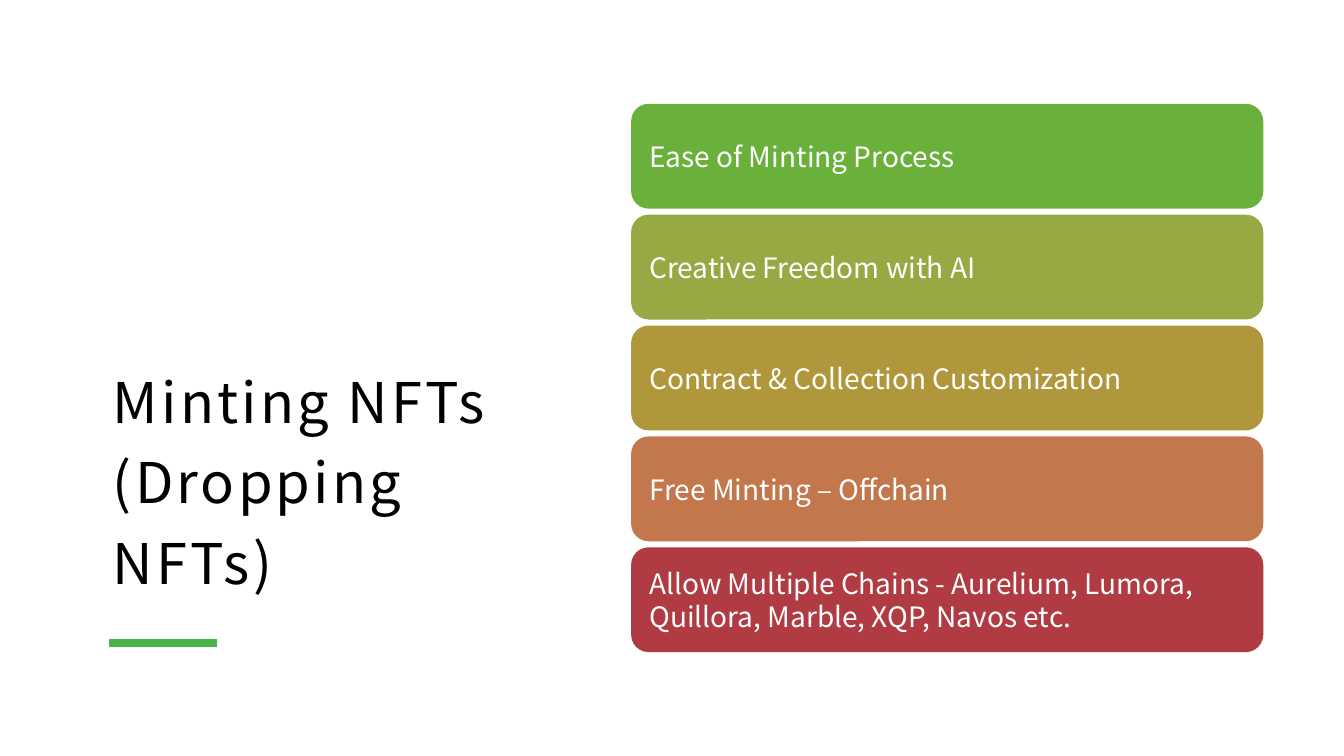
from dataclasses import dataclass

from lxml import etree
from pptx import Presentation
from pptx import util as u
from pptx.dml.color import RGBColor
from pptx.enum import shapes, text
from pptx.oxml import ns

FONT = "Noto Sans CJK SC"
BLACK = RGBColor(0x00, 0x00, 0x00)
WHITE = RGBColor(0xFF, 0xFF, 0xFF)
ACCENT = RGBColor(0x47, 0xB5, 0x4A)
GREEN = RGBColor(0x69, 0xB1, 0x3B)
OLIVE = RGBColor(0x96, 0xA9, 0x42)
GOLD = RGBColor(0xB1, 0x97, 0x3B)
COPPER = RGBColor(0xC3, 0x77, 0x4D)
RED = RGBColor(0xB1, 0x3B, 0x42)

CARD_LEFT, CARD_TOP = 6.26, 1.03
CARD_WIDTH, CARD_HEIGHT = 6.27, 1.04
CARD_STEP = 1.1


@dataclass(frozen=True)
class Card:
    label: str
    fill: RGBColor


CARDS = [
    Card("Ease of Minting Process", GREEN),
    Card("Creative Freedom with AI", OLIVE),
    Card("Contract & Collection Customization", GOLD),
    Card("Free Minting – Offchain", COPPER),
    Card("Allow Multiple Chains - Aurelium, Lumora, Quillora, Marble, XQP, Navos etc.", RED),
]


def set_text(tf, content: str, size: float, color: RGBColor, inset: float, anchor):
    tf.word_wrap = True
    tf.vertical_anchor = anchor
    tf.margin_left = tf.margin_right = u.Inches(inset)
    tf.margin_top = tf.margin_bottom = u.Inches(inset)
    p = tf.paragraphs[0]
    p.alignment = text.PP_ALIGN.LEFT
    p.font.name = FONT
    p.font.size = u.Pt(size)
    p.font.color.rgb = color
    p.add_run().text = content
    return p


def add_title(s) -> None:
    sp = s.shapes.add_textbox(u.Inches(1), u.Inches(1), u.Inches(4.18), u.Inches(5.01))
    tf = sp.text_frame
    p = set_text(tf, "Minting NFTs (Dropping NFTs)", 40, BLACK, 0.12, text.MSO_ANCHOR.BOTTOM)
    tf.margin_bottom = u.Inches(0.1)
    p.line_spacing = 1.2
    p.runs[0].font._element.set("spc", "230")


def add_accent(s) -> None:
    line = s.shapes.add_connector(
        shapes.MSO_CONNECTOR.STRAIGHT,
        u.Inches(1.08), u.Inches(6.38), u.Inches(2.15), u.Inches(6.38),
    )
    line.line.color.rgb = ACCENT
    line.line.width = u.Pt(6)
    etree.SubElement(line._element.spPr, ns.qn("a:effectLst"))


def add_card(s, card: Card, top: float) -> None:
    sp = s.shapes.add_shape(
        shapes.MSO_SHAPE.ROUNDED_RECTANGLE,
        u.Inches(CARD_LEFT), u.Inches(top), u.Inches(CARD_WIDTH), u.Inches(CARD_HEIGHT),
    )
    sp.shadow.inherit = False
    sp.fill.solid()
    sp.fill.fore_color.rgb = card.fill
    sp.line.fill.background()
    set_text(sp.text_frame, card.label, 20, WHITE, 0.13, text.MSO_ANCHOR.MIDDLE)


def main() -> None:
    prs = Presentation()
    prs.slide_width, prs.slide_height = u.Inches(13.33), u.Inches(7.5)
    s = prs.slides.add_slide(prs.slide_layouts[6])
    add_title(s)
    add_accent(s)
    for i, card in enumerate(CARDS):
        add_card(s, card, CARD_TOP + i * CARD_STEP)
    prs.save("out.pptx")


if __name__ == "__main__":
    main()
